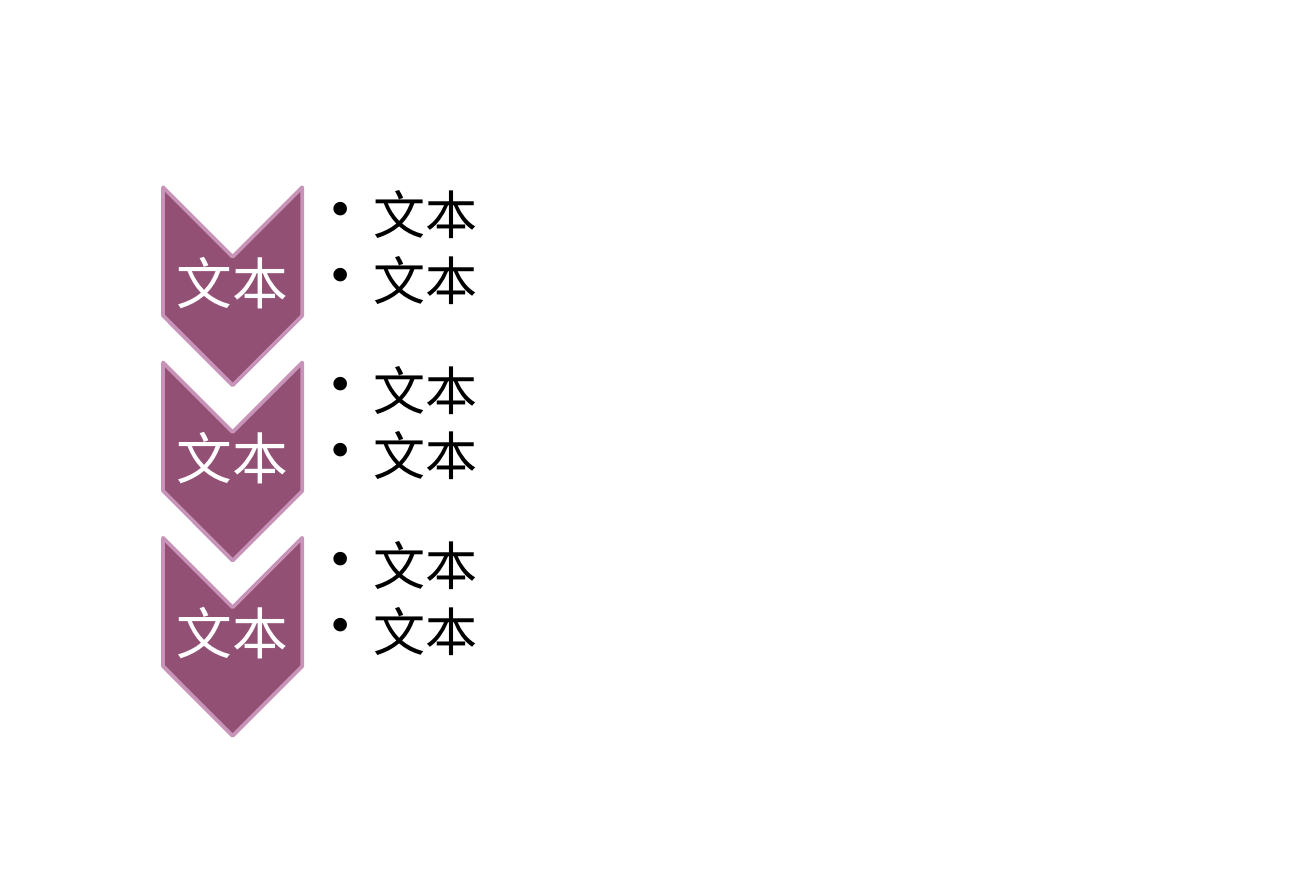
from lxml import etree
from pptx import Presentation
from pptx.dml.color import RGBColor
from pptx.enum import shapes, text
from pptx.oxml.ns import qn
from pptx.util import Inches, Pt

# Content: chevron label, bullet lines
STEPS = [
    ("文本", ["文本", "文本"]),
    ("文本", ["文本", "文本"]),
    ("文本", ["文本", "文本"]),
]

THEME = {
    "font": "Noto Sans CJK SC",
    "fill": RGBColor.from_string("925074"),
    "edge": RGBColor.from_string("C893B8"),
    "light": RGBColor.from_string("FFFFFF"),
    "dark": RGBColor.from_string("000000"),
    "label": 30,
    "bullet": 28,
}

# Layout in inches
LEFT, TOP, STEP = 1.22, 1.4, 1.31
WIDE, TALL = 1.04, 1.48
POINT = WIDE / 2
LIST_W, LIST_H = 6.38, 0.87
PAD, INDENT = 0.02, 0.31


def add_chevron(slide, top):
    # Turned a quarter about its centre so that it points down
    x = LEFT + (WIDE - TALL) / 2
    y = top + (TALL - WIDE) / 2
    arrow = slide.shapes.add_shape(
        shapes.MSO_SHAPE.CHEVRON, Inches(x), Inches(y), Inches(TALL), Inches(WIDE))
    arrow.rotation = 90
    arrow.shadow.inherit = False
    arrow.fill.solid()
    arrow.fill.fore_color.rgb = THEME["fill"]
    arrow.line.color.rgb = THEME["edge"]
    arrow.line.width = Pt(2)


def add_text(slide, box, lines, size, color, after, pad=PAD, bullet=False):
    frame = slide.shapes.add_textbox(*map(Inches, box)).text_frame
    frame.word_wrap = True
    frame.vertical_anchor = text.MSO_ANCHOR.MIDDLE
    frame.margin_left = Inches(pad)
    frame.margin_top = frame.margin_right = frame.margin_bottom = Inches(PAD)
    for i, line in enumerate(lines):
        para = frame.add_paragraph() if i else frame.paragraphs[0]
        para.text = line
        para.line_spacing = 0.9
        para.space_after = Pt(after)
        if bullet:
            props = para._p.get_or_add_pPr()
            props.set("marL", str(Inches(INDENT)))
            props.set("indent", str(-Inches(INDENT)))
            etree.SubElement(props, qn("a:buChar"), char="•")
        else:
            para.alignment = text.PP_ALIGN.CENTER
        para.font.size = Pt(size)
        para.font.color.rgb = color
        para.font.name = THEME["font"]
        # East Asian typeface
        etree.SubElement(para.font._element, qn("a:ea"), typeface=THEME["font"])


def main():
    deck = Presentation()
    deck.slide_width, deck.slide_height = Inches(9.84), Inches(6.57)
    slide = deck.slides.add_slide(deck.slide_layouts[6])
    for i, (label, lines) in enumerate(STEPS):
        top = TOP + i * STEP
        add_chevron(slide, top)
        # Label between the notch and the start of the point
        add_text(slide, (LEFT, top + POINT, WIDE, TALL - 2 * POINT), [label],
                 THEME["label"], THEME["light"], 13.1)
        # Bullets beside the chevron
        add_text(slide, (LEFT + WIDE, top + 0.04, LIST_W, LIST_H), lines,
                 THEME["bullet"], THEME["dark"], 5.2, pad=0.22, bullet=True)
    deck.save("out.pptx")


if __name__ == "__main__":
    main()
